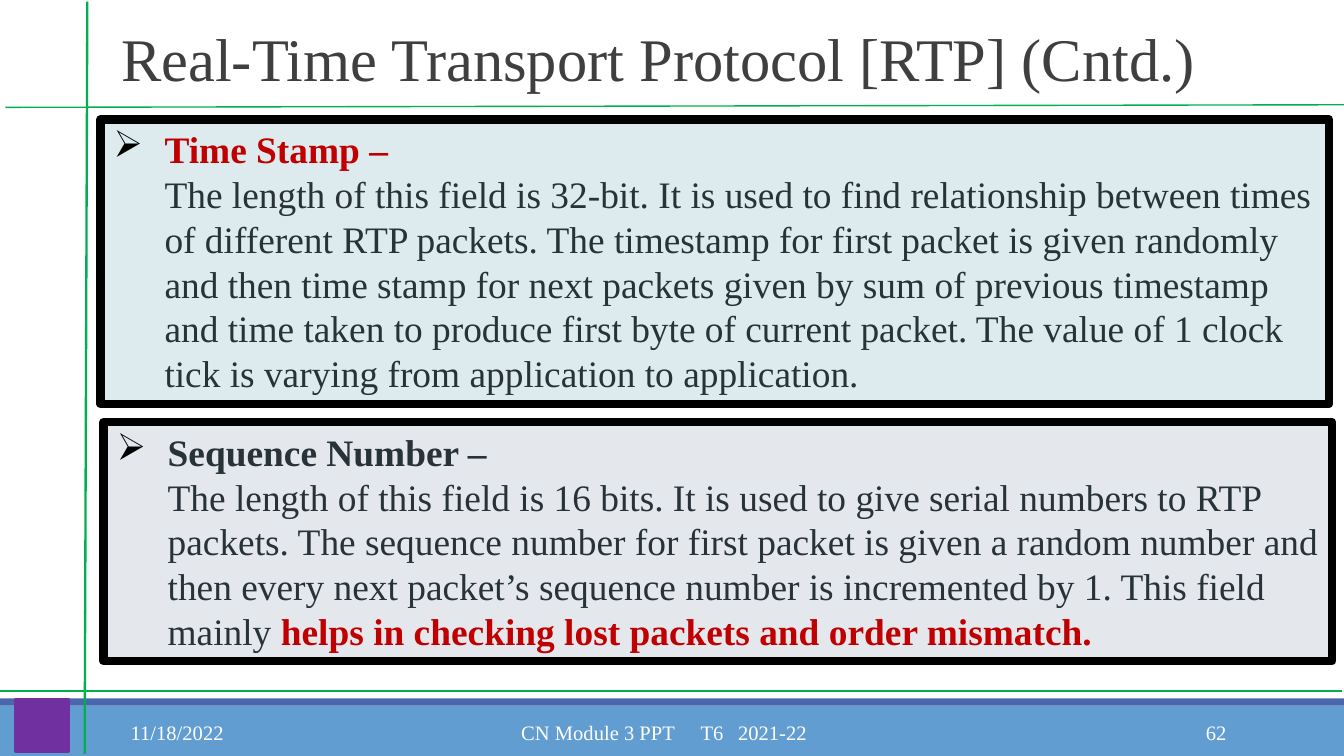
from lxml import etree
from pptx import Presentation, util as u
from pptx.dml.color import RGBColor
from pptx.enum import shapes, text
from pptx.oxml.ns import qn

FACE = "Times New Roman"
RED, INK, GREEN, WHITE = "C00000", "273239", "00B050", "FFFFFF"
LEFT, MID, RIGHT = text.PP_ALIGN.LEFT, text.PP_ALIGN.CENTER, text.PP_ALIGN.RIGHT

TITLE = "Real-Time Transport Protocol [RTP] (Cntd.)"
CARDS = [
    ((1.9, 2.26, 23.22, 5.38), "DDEBEE", ("Time Stamp –", RED), [
        ("The length of this field is 32-bit. It is used to find relationship "
         "between times of different RTP packets. The timestamp for first packet "
         "is given randomly and then time stamp for next packets given by sum of "
         "previous timestamp and time taken to produce first byte of current "
         "packet. The value of 1 clock tick is varying from application to "
         "application.", INK, False)]),
    ((1.96, 7.98, 23.22, 4.52), "E4E8ED", ("Sequence Number –", INK), [
        ("The length of this field is 16 bits. It is used to give serial numbers "
         "to RTP packets. The sequence number for first packet is given a random "
         "number and then every next packet’s sequence number is incremented by "
         "1. This field mainly ", INK, False),
        ("helps in checking lost packets and order mismatch.", RED, True)]),
]
BARS = [((0, 13.34, 25.4, 0.95), "629DD1"), ((0, 13.2, 25.4, 0.14), "4A66AC")]
MARK = ((0.3, 13.23, 0.99, 0.97), "7030A0", 2)
RULES = [
    ((0.1, 2.03, 25.5, 1.98), 0.75),
    ((-0.03, 13.06, 25.37, 13.06), 1.25),
    ((1.65, 0.03, 1.6, 14.25), 1.25),
]
FOOT = [
    ((2.29, 5.16), "11/18/2022", LEFT, 0.18, ()),
    ((7.67, 10.06), "CN Module 3 PPT\tT6\t2021-22", LEFT, 2.18, (3.39, 4.1)),
    ((20.62, 2.74), "62", RIGHT, 0.18, ()),
]


def tint(code):
    return RGBColor.from_string(code)


def cms(nums):
    return [u.Cm(n) for n in nums]


def put(item, **vals):
    for key, val in vals.items():
        setattr(item, key, val)


def inset(frame, side, top, **more):
    put(frame, margin_left=u.Cm(side), margin_right=u.Cm(side),
        margin_top=u.Cm(top), margin_bottom=u.Cm(top), word_wrap=True, **more)


def write(par, words, size, code, bold=False):
    run = par.add_run()
    put(run, text=words)
    put(run.font, name=FACE, size=u.Pt(size), bold=bold)
    run.font.color.rgb = tint(code)


def sub(node, tag, **vals):
    return etree.SubElement(node, qn(tag), vals)


def block(slide, area, fill, edge=None, width=0):
    box = slide.shapes.add_shape(shapes.MSO_SHAPE.RECTANGLE, *cms(area))
    box.shadow.inherit = False
    box.fill.solid()
    box.fill.fore_color.rgb = tint(fill)
    if edge:
        box.line.color.rgb = tint(edge)
        box.line.width = u.Pt(width)
    else:
        box.line.fill.background()
    return box


def card(slide, area, fill, head, parts):
    frame = block(slide, area, fill, "000000", 4.5).text_frame
    inset(frame, 0.25, 0.13, vertical_anchor=text.MSO_ANCHOR.TOP,
          auto_size=text.MSO_AUTO_SIZE.SHAPE_TO_FIT_TEXT)
    par = frame.paragraphs[0]
    par.alignment = LEFT
    props = par._p.get_or_add_pPr()
    hang = u.Cm(0.96)
    props.set("marL", str(hang))
    props.set("indent", str(-hang))
    sub(sub(props, "a:buClr"), "a:srgbClr", val="000000")
    sub(props, "a:buFont", typeface="Wingdings", pitchFamily="2", charset="2")
    sub(props, "a:buChar", char="Ø")
    words, code = head
    write(par, words, 20, code, True)
    par.add_line_break()
    for words, code, bold in parts:
        write(par, words, 20, code, bold)


def foot(slide, span, words, align, start, stops):
    left, width = span
    box = slide.shapes.add_textbox(*cms((left, 13.46, width, 0.76)))
    frame = box.text_frame
    inset(frame, 0.18, 0.1, vertical_anchor=text.MSO_ANCHOR.MIDDLE)
    frame.margin_left = u.Cm(start)
    par = frame.paragraphs[0]
    par.alignment = align
    if stops:
        tabs = sub(par._p.get_or_add_pPr(), "a:tabLst")
        for stop in stops:
            sub(tabs, "a:tab", pos=str(u.Cm(stop)), algn="l")
    write(par, words, 11, WHITE)


def rule(slide, ends, width):
    line = slide.shapes.add_connector(shapes.MSO_CONNECTOR.STRAIGHT, *cms(ends))
    line.line.color.rgb = tint(GREEN)
    line.line.width = u.Pt(width)
    sub(line._element.spPr, "a:effectLst")


def main():
    deck = Presentation()
    put(deck, slide_width=u.Cm(25.4), slide_height=u.Cm(14.29))
    slide = deck.slides.add_slide(deck.slide_layouts[5])
    for area, fill in BARS:
        block(slide, area, fill)
    for item in FOOT:
        foot(slide, *item)

    title = slide.shapes.title
    left, top, width, height = cms((1.65, 0, 21.59, 2.39))
    put(title, left=left, top=top, width=width, height=height)
    inset(title.text_frame, 0.18, 0.1, vertical_anchor=text.MSO_ANCHOR.MIDDLE,
          auto_size=text.MSO_AUTO_SIZE.NONE)
    par = title.text_frame.paragraphs[0]
    put(par, alignment=MID, line_spacing=0.85)
    write(par, TITLE, 32.4, "3F3F3F")

    for item in CARDS:
        card(slide, *item)
    area, code, width = MARK
    block(slide, area, code, code, width)
    for item in RULES:
        rule(slide, *item)
    deck.save("out.pptx")


if __name__ == "__main__":
    main()
